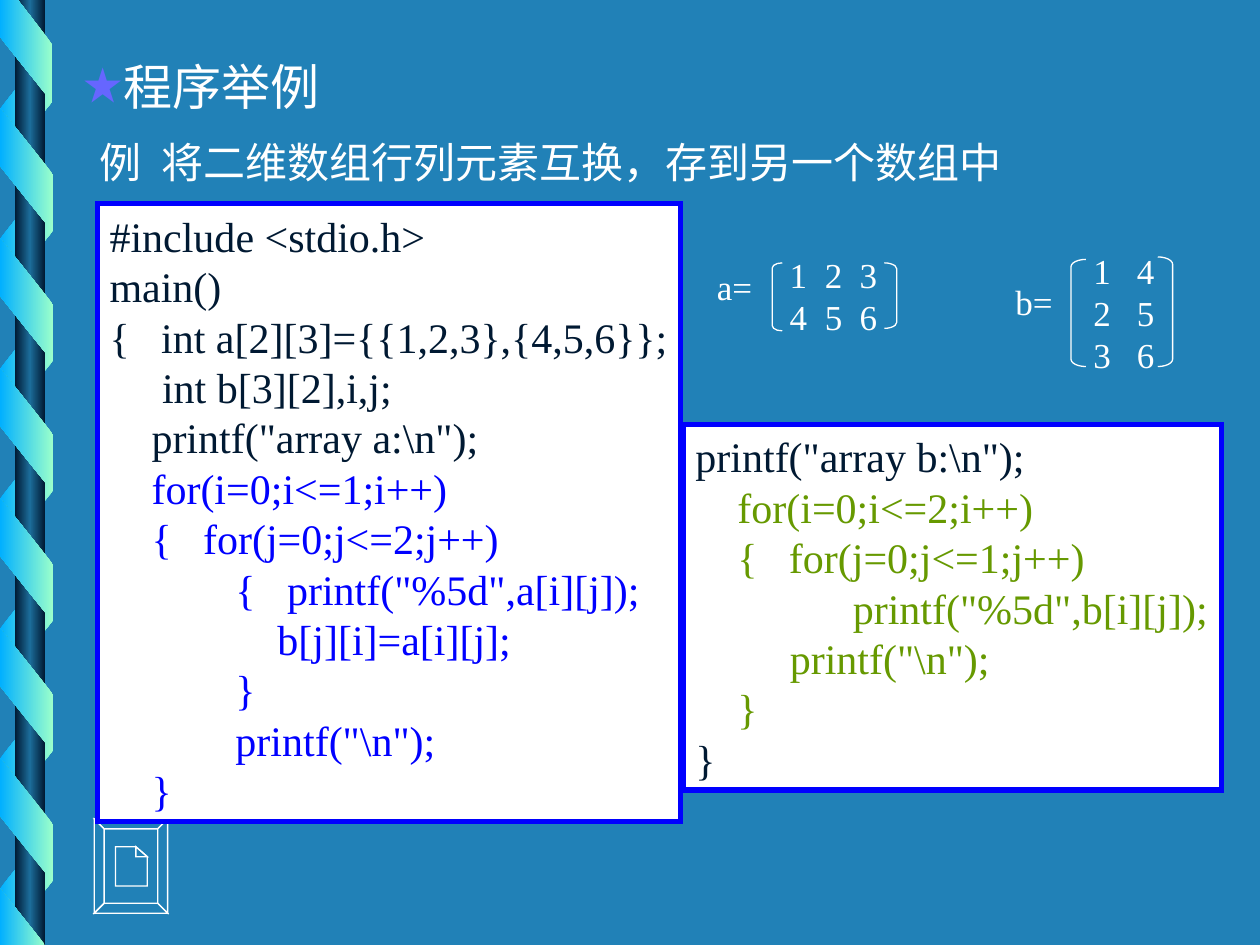
from dataclasses import dataclass

from lxml.etree import SubElement
from pptx import Presentation
from pptx.dml.color import RGBColor as RGB
from pptx.enum.shapes import MSO_SHAPE as Kind
from pptx.enum.text import MSO_ANCHOR as Anchor, MSO_AUTO_SIZE as Fit, PP_ALIGN as Align
from pptx.oxml.ns import qn
from pptx.util import Cm, Pt


@dataclass(frozen=True)
class Theme:
    font: str = "Times New Roman"
    back: str = "2181B7"
    white: str = "FFFFFF"
    dark: str = "001932"
    steel: str = "1C6D9A"
    sky: str = "01B0FF"
    mint: str = "99FFCC"
    blue: str = "0000FF"
    green: str = "669900"
    star: str = "6666FF"
    title: int = 28
    body: int = 24
    small: int = 20
    thin: float = 0.75
    thick: float = 3


T = Theme()

# Code listings as (colour, lines) parts
CODE_A = [
    (T.dark, r'''#include <stdio.h>
main()
{   int a[2][3]={{1,2,3},{4,5,6}};
     int b[3][2],i,j;
    printf("array a:\n");'''),
    (T.blue, r'''    for(i=0;i<=1;i++)
    {   for(j=0;j<=2;j++)
            {   printf("%5d",a[i][j]);
                b[j][i]=a[i][j];
            }
            printf("\n");
    }'''),
]
CODE_B = [
    (T.dark, r'printf("array b:\n");'),
    (T.green, r'''    for(i=0;i<=2;i++)
    {   for(j=0;j<=1;j++)
               printf("%5d",b[i][j]);
         printf("\n");
    }'''),
    (T.dark, "}"),
]


def paint(shape, fill=None, line=None, width=T.thin):
    shape.shadow.inherit = False
    if fill:
        shape.fill.solid()
        shape.fill.fore_color.rgb = RGB.from_string(fill)
    else:
        shape.fill.background()
    if line:
        shape.line.color.rgb = RGB.from_string(line)
        shape.line.width = Pt(width)
        SubElement(shape._element.spPr.find(qn("a:ln")), qn("a:miter"), lim="800000")
    else:
        shape.line.fill.background()


def blend(shape, *tones):
    """Fill with evenly spaced tones that run from right to left."""
    paint(shape)
    shape.fill.gradient()
    shape.fill.gradient_angle = 180
    grad = shape._element.spPr.find(qn("a:gradFill"))
    grad.set("rotWithShape", "0")
    stops = grad.find(qn("a:gsLst"))
    for stop in list(stops):
        stops.remove(stop)
    for i, tone in enumerate(tones):
        stop = SubElement(stops, qn("a:gs"), pos=str(i * 100000 // (len(tones) - 1)))
        SubElement(stop, qn("a:srgbClr"), val=tone)


def add_form(slide, kind, x, y, w, h):
    return slide.shapes.add_shape(kind, Cm(x), Cm(y), Cm(w), Cm(h))


def add_path(slide, *paths):
    """Draw closed outlines, each a list of points in centimetres."""
    pen = None
    for path in paths:
        pts = [(Cm(x), Cm(y)) for x, y in path]
        if pen is None:
            pen = slide.shapes.build_freeform(*pts[0], scale=1)
        else:
            pen.move_to(*pts[0])
        pen.add_line_segments(pts[1:], close=True)
    return pen.convert_to_shape()


def style(para, size, tone):
    para.alignment = Align.LEFT
    para.font.name = T.font
    para.font.size = Pt(size)
    para.font.color.rgb = RGB.from_string(tone)


def write(frame, parts, size, tabs=()):
    lines = [(tone, line) for tone, block in parts for line in block.split("\n")]
    for i, (tone, line) in enumerate(lines):
        para = frame.add_paragraph() if i else frame.paragraphs[0]
        para.text = line
        if tabs:
            stops = SubElement(para._p.get_or_add_pPr(), qn("a:tabLst"))
            for tab in tabs:
                SubElement(stops, qn("a:tab"), pos=str(Cm(tab)), algn="l")
        style(para, size, tone)


def add_label(slide, text, x, y, w, h, size=T.small, tabs=()):
    box = slide.shapes.add_textbox(Cm(x), Cm(y), Cm(w), Cm(h))
    box.text_frame.word_wrap = True
    write(box.text_frame, [(T.white, text)], size, tabs)


def add_title(slide, text):
    box = slide.shapes.add_textbox(Cm(1.42), Cm(1.01), Cm(19.6), Cm(1.47))
    box.text_frame.word_wrap = True
    para = box.text_frame.paragraphs[0]
    para.text = text
    props = para._p.get_or_add_pPr()
    props.set("marL", str(Cm(0.83)))
    props.set("indent", str(-Cm(0.83)))
    SubElement(SubElement(props, qn("a:buClr")), qn("a:srgbClr"), val=T.star)
    SubElement(props, qn("a:buFont"), typeface=T.font)
    SubElement(props, qn("a:buChar"), char="★")
    style(para, T.title, T.white)


def add_code(slide, parts, x, y, w, h):
    box = add_form(slide, Kind.RECTANGLE, x, y, w, h)
    paint(box, T.white, T.blue, T.thick)
    frame = box.text_frame
    frame.vertical_anchor = Anchor.MIDDLE
    frame.word_wrap = False
    frame.auto_size = Fit.SHAPE_TO_FIT_TEXT
    write(frame, parts, T.body)


def add_brace(slide, kind, x, y, w, h):
    brace = add_form(slide, kind, x, y, w, h)
    brace.adjustments[0] = 0.5
    paint(brace, line=T.white)


def add_band(slide, y, front):
    band = add_form(slide, Kind.PARALLELOGRAM, -0.71, y, 2.49, 1.06)
    band.adjustments[0] = 1.25
    band.rotation = 270 if front else 90
    if front:
        blend(band, T.mint, T.sky)
    else:
        band._element.spPr.find(qn("a:xfrm")).set("flipH", "1")
        blend(band, T.sky, T.mint)


def add_ribbon(slide):
    step = 2.62
    for i in range(7):
        add_band(slide, 1.58 + i * step, False)
    pole = add_form(slide, Kind.RECTANGLE, 0.3, 0, 0.61, 19.05)
    blend(pole, T.dark, T.steel, T.dark)
    for i in range(6):
        add_band(slide, 2.9 + i * step, True)
    # Cut ends at the top and the bottom edge
    top = [(0, 0), (0, 0.74), (1.05, 2.06), (1.05, 0.89), (0.36, 0)]
    foot = [(0.91, 19.05), (0, 17.91), (0, 19.05)]
    for end in (top, foot):
        blend(add_path(slide, end), T.mint, T.sky)


def add_button(slide):
    def ring(x, y, w, h):
        return [(x, y), (x + w, y), (x + w, y + h), (x, y + h)]

    outer = ring(1.9, 16.51, 1.48, 1.9)
    inner = ring(2.1, 16.71, 1.08, 1.5)
    bevels = [[outer[i - 1], outer[i], inner[i], inner[i - 1]] for i in range(4)]
    page = [(2.33, 17.07), (2.74, 17.07), (2.97, 17.27), (2.97, 17.86), (2.33, 17.86)]
    fold = [(2.74, 17.07), (2.97, 17.27), (2.74, 17.27)]
    paint(add_path(slide, outer, *bevels, page, fold), T.back, T.white)


def main():
    deck = Presentation()
    deck.slide_width, deck.slide_height = Cm(25.4), Cm(19.05)
    slide = deck.slides.add_slide(deck.slide_layouts[6])
    slide.background.fill.solid()
    slide.background.fill.fore_color.rgb = RGB.from_string(T.back)

    # Ribbon, heading and button
    add_ribbon(slide)
    add_title(slide, "程序举例")
    add_button(slide)
    add_label(slide, "例\t将二维数组行列元素互换，存到另一个数组中",
              1.75, 2.62, 19.2, 1.27, T.body, [1.25])

    # Matrices
    add_label(slide, "a=", 14.2, 5.23, 1.5, 1.12)
    add_label(slide, "1\t2\t3\n4\t5\t6", 15.67, 4.98, 2.6, 1.96, tabs=[0.71, 1.41])
    add_brace(slide, Kind.LEFT_BRACKET, 15.57, 5.3, 0.2, 1.37)
    add_brace(slide, Kind.RIGHT_BRACKET, 17.83, 5.3, 0.25, 1.32)
    add_label(slide, "b=", 20.22, 5.54, 1.5, 1.12)
    add_label(slide, "1\t4\n2\t5\n3\t6", 21.79, 4.9, 2.1, 2.79, tabs=[0.88])
    add_brace(slide, Kind.LEFT_BRACKET, 21.59, 5.23, 0.3, 2.16)
    add_brace(slide, Kind.RIGHT_BRACKET, 23.34, 5.18, 0.3, 2.21)

    # Program
    add_code(slide, CODE_A, 1.96, 4.11, 11.76, 12.45)
    add_code(slide, CODE_B, 13.77, 8.56, 10.85, 7.37)
    deck.save("out.pptx")


if __name__ == "__main__":
    main()
